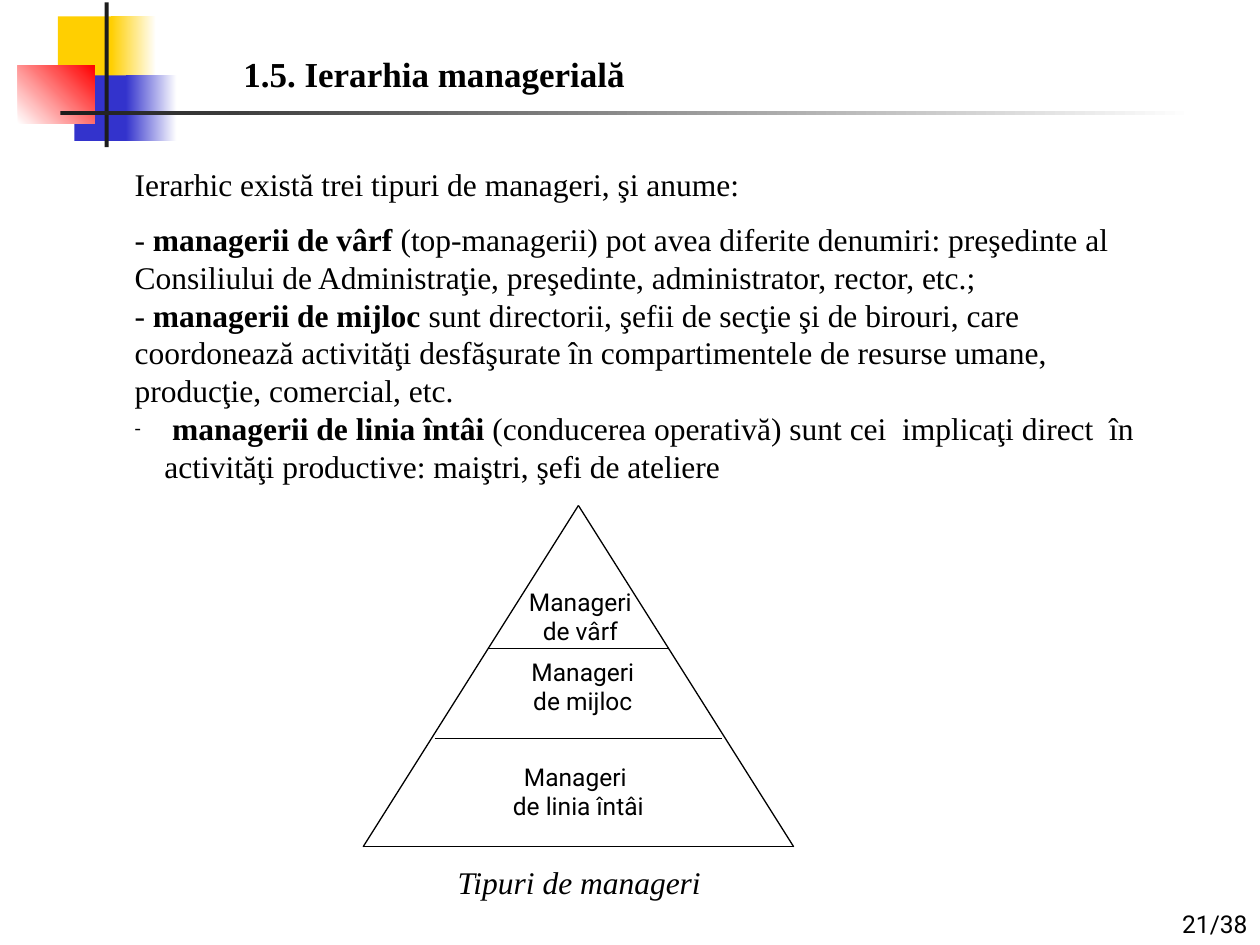
from lxml.etree import SubElement
from pptx import Presentation
from pptx.dml.color import RGBColor
from pptx.enum.shapes import MSO_CONNECTOR as CONN, MSO_SHAPE as SHAPE
from pptx.enum.text import MSO_ANCHOR as ANCHOR, MSO_AUTO_SIZE as AUTO, PP_ALIGN as ALIGN
from pptx.oxml.ns import qn
from pptx.util import Cm, Pt

COLORS = {"black": "000000", "dark": "1C1C1C", "white": "FFFFFF",
          "yellow": "FFCF01", "blue": "3333CC", "red": "FF0000"}
SERIF, SANS = "Times New Roman", "Roboto"

TITLE = "1.5. Ierarhia managerială"
# (bulleted, space before in points, runs of (text, bold))
BODY = [
    (False, 0, [("Ierarhic există trei tipuri de manageri, şi anume:", False)]),
    (False, 9.8, [("- ", False), ("managerii de vârf", True),
                  (" (top-managerii) pot avea diferite denumiri: preşedinte al Consiliului de "
                   "Administraţie, preşedinte, administrator, rector, etc.;", False)]),
    (False, 0, [("- ", False), ("managerii de mijloc", True),
                (" sunt directorii, şefii de secţie şi de birouri, care coordonează activităţi "
                 "desfăşurate în compartimentele de resurse umane, producţie, comercial, etc.",
                 False)]),
    (True, 0, [(" managerii de linia întâi", True),
               (" (conducerea operativă) sunt cei  implicaţi direct  în activităţi productive: "
                "maiştri, şefi de ateliere", False)]),
]
# (left, top, width, height), fill colours from left to right, gradient angle
DECOR = [
    ((1.17, 0.33, 1.22, 1.32), ["yellow"], 0),
    ((2.24, 0.33, 0.91, 1.32), ["yellow", "white"], 0),
    ((1.5, 1.52, 1.17, 1.32), ["blue"], 0),
    ((2.54, 1.52, 1.02, 1.32), ["blue", "white"], 0),
    ((0.36, 1.32, 1.55, 1.17), ["white", "red"], 45),
    ((2.11, 0.05, 0.08, 2.92), ["dark"], 0),
    ((1.22, 2.24, 22.86, 0.08), ["dark", "white"], 0),
]
APEX = (11.66, 10.19)
LEVELS = [(13.08, 1.8), (14.89, 2.9), (17.07, 4.34)]  # (y, half width)
# (left, top, width, height), lines, font, size, italic, alignment, anchor
LABELS = [
    ((10.19, 11.71, 3.02, 1.7), ["Manageri de vârf"], SANS, 14, False, ALIGN.CENTER, ANCHOR.TOP),
    ((10.24, 13.12, 3.02, 1.7), ["Manageri de mijloc"], SANS, 14, False, ALIGN.CENTER, ANCHOR.TOP),
    ((9.55, 15.23, 4.22, 1.7), ["Manageri ", "de linia întâi"], SANS, 14, False,
     ALIGN.CENTER, ANCHOR.TOP),
    ((8.68, 17.27, 6, 1), ["Tipuri de manageri"], SERIF, 18, True, ALIGN.CENTER, ANCHOR.MIDDLE),
    ((17.35, 17.78, 8.05, 1.27), ["21/38"], SANS, 14, False, ALIGN.RIGHT, ANCHOR.BOTTOM),
]


def rgb(name):
    return RGBColor.from_string(COLORS[name])


def place(sp, box):
    sp.left, sp.top, sp.width, sp.height = map(Cm, box)


def add_run(p, text, font, size, bold=False, italic=False):
    r = p.add_run()
    r.text = text
    f = r.font
    f.name, f.size, f.bold, f.italic = font, Pt(size), bold, italic
    f.color.rgb = rgb("black")


def set_bullet(p, bulleted):
    pPr = p._p.get_or_add_pPr()
    indent = Cm(0.6) if bulleted else 0
    pPr.set("marL", str(indent))
    pPr.set("indent", str(-indent))
    if bulleted:
        clr = SubElement(pPr, qn("a:buClr"))
        SubElement(clr, qn("a:srgbClr"), val=COLORS["black"])
        SubElement(pPr, qn("a:buSzPct"), val="60000")
        SubElement(pPr, qn("a:buFont"), typeface=SERIF)
        SubElement(pPr, qn("a:buChar"), char="-")
    else:
        SubElement(pPr, qn("a:buNone"))


def add_block(shapes, box, fills, angle):
    sp = shapes.add_shape(SHAPE.RECTANGLE, *map(Cm, box))
    sp.shadow.inherit = False
    sp.line.fill.background()
    if len(fills) == 1:
        sp.fill.solid()
        sp.fill.fore_color.rgb = rgb(fills[0])
    else:
        sp.fill.gradient()
        sp.fill.gradient_angle = angle
        for stop, name in zip(sp.fill.gradient_stops, fills):
            stop.color.rgb = rgb(name)


def add_line(shapes, start, end):
    cx = shapes.add_connector(CONN.STRAIGHT, *map(Cm, (*start, *end)))
    cx.line.color.rgb = rgb("black")
    cx.line.width = Pt(0.75)
    SubElement(cx._element.spPr, qn("a:effectLst"))


def add_label(shapes, box, lines, font, size, italic, align, anchor):
    tf = shapes.add_textbox(*map(Cm, box)).text_frame
    tf.word_wrap = True
    tf.vertical_anchor = anchor
    for i, line in enumerate(lines):
        p = tf.add_paragraph() if i else tf.paragraphs[0]
        p.alignment = align
        add_run(p, line, font, size, italic=italic)


def prepare_placeholder(sp, box):
    """Move the placeholder and let its text wrap from the top at full size."""
    place(sp, box)
    tf = sp.text_frame
    tf.word_wrap = True
    tf.auto_size = AUTO.NONE
    tf.vertical_anchor = ANCHOR.TOP
    return tf


def fill_title(sp):
    p = prepare_placeholder(sp, (4.65, 0.94, 10, 1.12)).paragraphs[0]
    p.alignment = ALIGN.LEFT
    add_run(p, TITLE, SERIF, 20, bold=True)


def fill_body(sp):
    tf = prepare_placeholder(sp, (2.46, 3.2, 20.73, 6.8))
    for i, (bulleted, before, runs) in enumerate(BODY):
        p = tf.add_paragraph() if i else tf.paragraphs[0]
        set_bullet(p, bulleted)
        p.line_spacing = Pt(21.6)
        p.space_before = Pt(before)
        for text, bold in runs:
            add_run(p, text, SERIF, 18, bold=bold)


def main():
    prs = Presentation()
    prs.slide_width, prs.slide_height = Cm(25.4), Cm(19.05)
    slide = prs.slides.add_slide(prs.slide_layouts[1])
    shapes = slide.shapes
    fill_title(shapes.title)
    fill_body(slide.placeholders[1])
    for block in DECOR:
        add_block(shapes, *block)

    x = APEX[0]
    base_y, base_half = LEVELS[-1]
    for side in (-1, 1):
        add_line(shapes, APEX, (x + side * base_half, base_y))
    for y, half in LEVELS:
        add_line(shapes, (x - half, y), (x + half, y))
    for label in LABELS:
        add_label(shapes, *label)
    prs.save("out.pptx")


if __name__ == "__main__":
    main()
